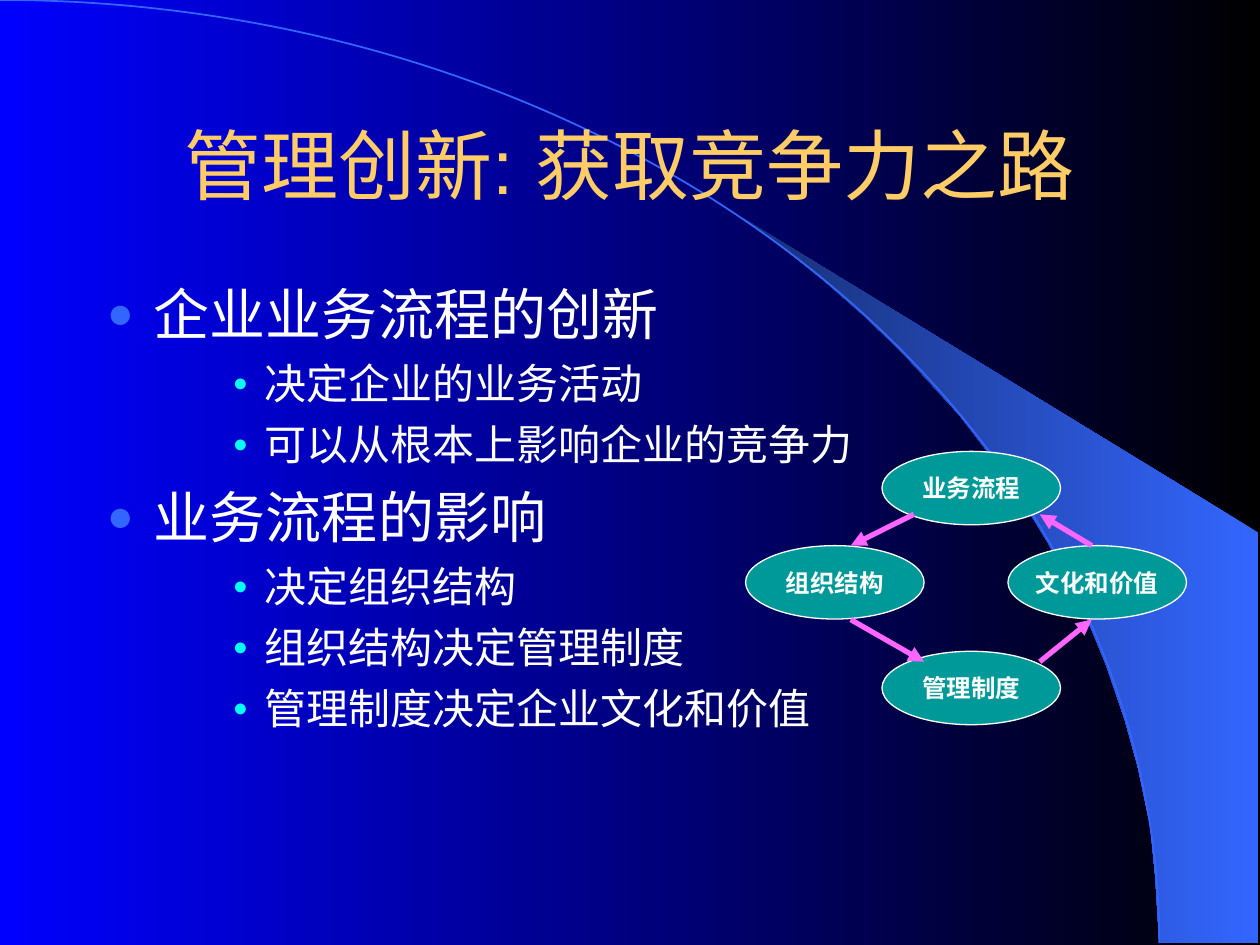
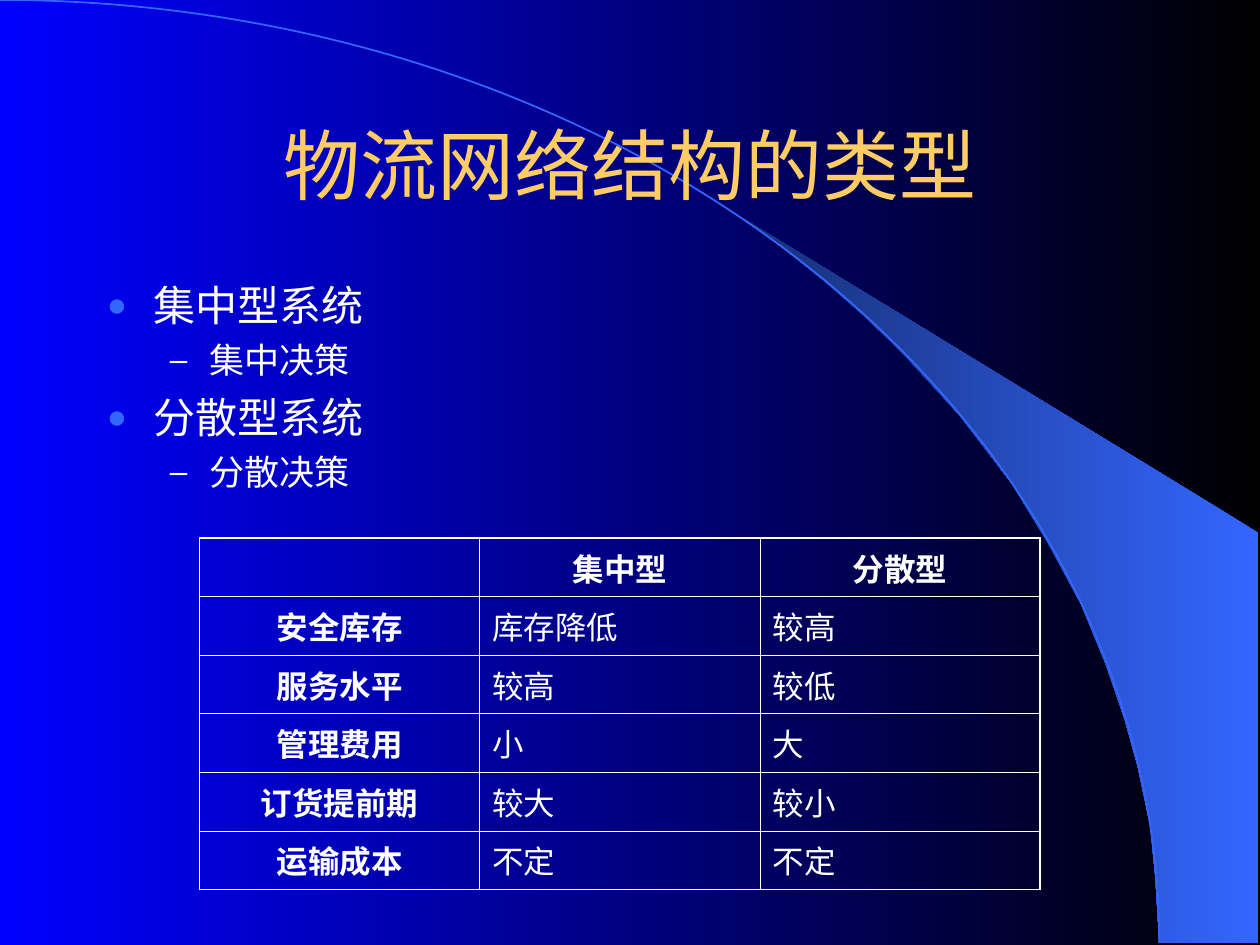
from pptx import Presentation
from pptx.dml.color import RGBColor
from pptx.enum.shapes import MSO_CONNECTOR, MSO_SHAPE
from pptx.enum.text import MSO_ANCHOR, MSO_AUTO_SIZE, PP_ALIGN
from pptx.oxml.ns import qn
from pptx.util import Cm, Pt
from lxml.etree import SubElement

WHITE, GOLD, BLUE, CYAN = "FFFFFF", "FFCC66", "3366FF", "00FFFF"
TEAL, PINK, NAVY, BLACK, DEEP = "009999", "FF66FF", "172F75", "000000", "0000FF"
HEAD, TEXT = "Arial", "Times New Roman"
THIN, THICK = Pt(0.45), Pt(1.08)
WEDGE = [
    (23.37, 19), (25.37, 19.02), (25.37, 10.74), (14.96, 4.39), (15.85, 5.05),
    (16.59, 5.64), (17.4, 6.35), (18.19, 7.11), (19.35, 8.38), (20.4, 9.75),
    (21.13, 10.95), (21.79, 12.17), (22.3, 13.41), (22.68, 14.53),
    (22.94, 15.47), (23.19, 16.66), (23.29, 17.68),
]
LEVELS = {
    0: ("●", BLUE, 80, 0.95, 0.95),
    1: ("–", WHITE, 90, 2.06, 0.79),
    2: ("●", CYAN, 60, 3.18, 0.64),
}


def color(code):
    return RGBColor.from_string(code)


def blend(fill, first, last):
    fill.gradient()
    fill.gradient_angle = 180
    for stop, code in zip(fill.gradient_stops, (first, last)):
        stop.color.rgb = color(code)


def place(shape, *box):
    shape.left, shape.top, shape.width, shape.height = map(Cm, box)


def style(para, size, code=WHITE, name=TEXT, bold=False):
    font = para.font
    font.size, font.name, font.bold = Pt(size), name, bold
    font.color.rgb = color(code)


class Deck:
    def __init__(self):
        self.prs = Presentation()
        self.prs.slide_width, self.prs.slide_height = Cm(25.4), Cm(19.05)
        blend(self.prs.slide_master.background.fill, BLACK, DEEP)

    def start(self, title):
        self.slide = self.prs.slides.add_slide(self.prs.slide_layouts[1])
        self.shapes = self.slide.shapes
        self.decor()
        box = self.shapes.title
        place(box, 1.9, 1.7, 21.6, 3.18)
        frame = box.text_frame
        frame.text = title
        frame.auto_size = MSO_AUTO_SIZE.NONE
        frame.vertical_anchor = MSO_ANCHOR.MIDDLE
        para = frame.paragraphs[0]
        para.alignment = PP_ALIGN.CENTER
        style(para, 44, GOLD, HEAD)

    def decor(self):
        points = [(Cm(x), Cm(y)) for x, y in WEDGE]
        path = self.shapes.build_freeform(*points[0])
        path.add_line_segments(points[1:])
        wedge = path.convert_to_shape()
        blend(wedge.fill, BLUE, NAVY)
        wedge.line.fill.background()
        arc = self.shapes.add_shape(
            MSO_SHAPE.ARC, Cm(-23.37), Cm(0), Cm(46.74), Cm(38.03))
        arc.fill.background()
        arc.line.color.rgb = color(BLUE)
        arc.line.width = Pt(1)
        tree = wedge._element.getparent()
        for spot, shape in enumerate((wedge, arc), 2):
            shape.shadow.inherit = False
            tree.insert(spot, shape._element)

    def bullets(self, items, sizes, gaps):
        box = self.slide.placeholders[1]
        place(box, 1.9, 5.51, 21.6, 11.43)
        frame = box.text_frame
        frame.auto_size = MSO_AUTO_SIZE.NONE
        frame.text = "\n".join(text for level, text in items)
        for row, (para, (level, text)) in enumerate(zip(frame.paragraphs, items)):
            mark, code, scale, left, hang = LEVELS[level]
            para.level = level
            props = para._p.get_or_add_pPr()
            props.set("marL", str(Cm(left)))
            props.set("indent", str(-Cm(hang)))
            tint = SubElement(props, qn("a:buClr"))
            SubElement(tint, qn("a:srgbClr"), val=code)
            SubElement(props, qn("a:buSzPct"), val=str(scale * 1000))
            SubElement(props, qn("a:buChar"), char=mark)
            para.space_before = Pt(gaps[level] if row else 0)
            style(para, sizes[level])

    def oval(self, text, left, top):
        oval = self.shapes.add_shape(
            MSO_SHAPE.OVAL, Cm(left), Cm(top), Cm(3.6), Cm(1.48))
        oval.shadow.inherit = False
        oval.fill.solid()
        oval.fill.fore_color.rgb = color(TEAL)
        oval.line.color.rgb = color(WHITE)
        oval.line.width = Pt(0.75)
        frame = oval.text_frame
        frame.text = text
        frame.word_wrap = False
        frame.vertical_anchor = MSO_ANCHOR.MIDDLE
        para = frame.paragraphs[0]
        para.alignment = PP_ALIGN.CENTER
        style(para, 14, bold=True)

    def arrow(self, *ends):
        arrow = self.shapes.add_connector(MSO_CONNECTOR.STRAIGHT, *map(Cm, ends))
        arrow.line.color.rgb = color(PINK)
        arrow.line.width = Pt(3)
        SubElement(arrow.line._get_or_add_ln(), qn("a:tailEnd"), type="triangle")
        SubElement(arrow._element.spPr, qn("a:effectLst"))

    def table(self, rows, left, top, wide, high):
        tall, broad = len(rows), len(rows[0])
        table = self.shapes.add_table(
            tall, broad, Cm(left), Cm(top), Cm(wide * broad), Cm(high * tall)).table
        table.first_row = table.horz_banding = False
        for r, row in enumerate(rows):
            for c, text in enumerate(row):
                cell = table.cell(r, c)
                edges = {"L": c == 0, "R": c == broad - 1,
                         "T": r == 0, "B": r == tall - 1}
                self.borders(cell, edges)
                cell.fill.background()
                cell.text = text
                label = r == 0 or c == 0
                para = cell.text_frame.paragraphs[0]
                para.alignment = PP_ALIGN.CENTER if label else PP_ALIGN.LEFT
                style(para, 18, bold=label)

    def borders(self, cell, edges):
        props = cell._tc.get_or_add_tcPr()
        for side, outer in edges.items():
            line = SubElement(props, qn("a:ln" + side), w=str(THICK if outer else THIN))
            fill = SubElement(line, qn("a:solidFill"))
            SubElement(fill, qn("a:srgbClr"), val=WHITE)


def main():
    deck = Deck()
    deck.start("管理创新: 获取竞争力之路")
    deck.bullets([
        (0, "企业业务流程的创新"),
        (2, "决定企业的业务活动"),
        (2, "可以从根本上影响企业的竞争力"),
        (0, "业务流程的影响"),
        (2, "决定组织结构"),
        (2, "组织结构决定管理制度"),
        (2, "管理制度决定企业文化和价值"),
    ], {0: 32, 2: 24}, {0: 8, 2: 6})
    deck.oval("业务流程", 17.78, 9.1)
    deck.oval("文化和价值", 20.32, 11)
    deck.oval("组织结构", 15.03, 11)
    deck.oval("管理制度", 17.78, 13.13)
    deck.arrow(18.42, 10.37, 17.15, 11)
    deck.arrow(17.15, 12.49, 18.63, 13.34)
    deck.arrow(20.96, 13.34, 22.01, 12.49)
    deck.arrow(22.01, 11, 20.96, 10.37)

    deck.start("物流网络结构的类型")
    deck.bullets([
        (0, "集中型系统"),
        (1, "集中决策"),
        (0, "分散型系统"),
        (1, "分散决策"),
    ], {0: 24, 1: 20}, {0: 6, 1: 5})
    deck.table([
        ("", "集中型", "分散型"),
        ("安全库存", "库存降低", "较高"),
        ("服务水平", "较高", "较低"),
        ("管理费用", "小", "大"),
        ("订货提前期", "较大", "较小"),
        ("运输成本", "不定", "不定"),
    ], 4.02, 10.85, 5.65, 1.18)
    deck.prs.save("out.pptx")


if __name__ == "__main__":
    main()
